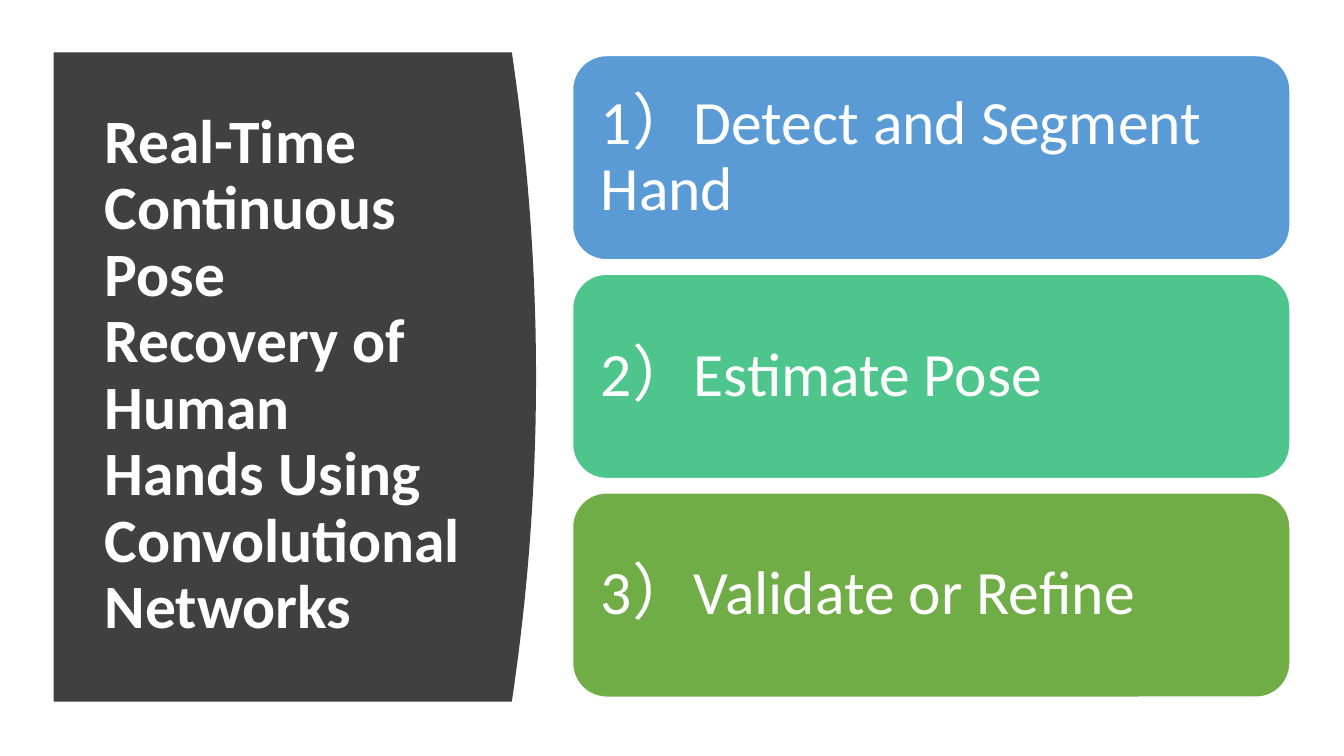
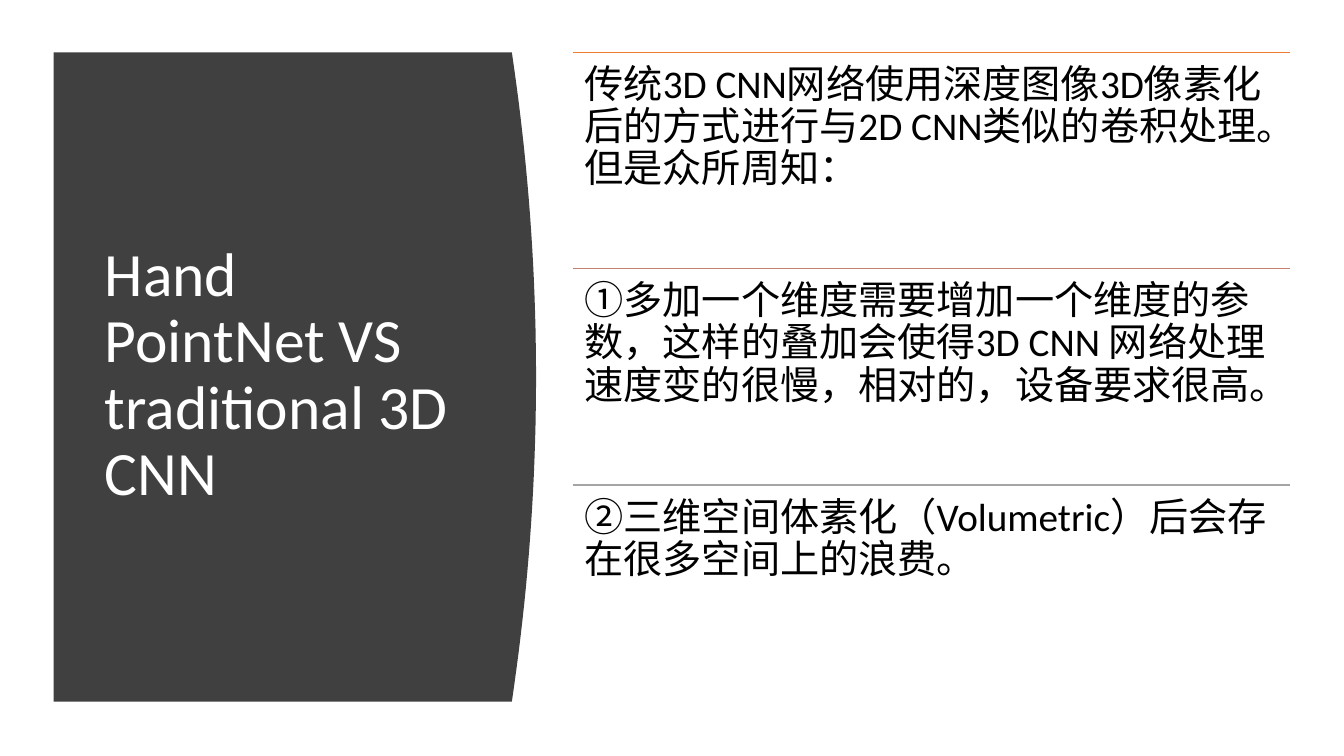
import dataclasses

import pptx
import pptx.dml.color
import pptx.enum.shapes
import pptx.enum.text
import pptx.oxml.ns
import pptx.util
from lxml import etree

Cm = pptx.util.Cm
Pt = pptx.util.Pt
RGBColor = pptx.dml.color.RGBColor
Anchor = pptx.enum.text.MSO_ANCHOR


@dataclasses.dataclass(frozen=True)
class Theme:
    font: str = "Calibri"
    large: int = 44
    body: int = 28
    white: str = "FFFFFF"
    black: str = "000000"
    panel: str = "404040"
    steps: tuple = ("5B9BD5", "4DC58D", "70AD47")
    rules: tuple = ("ED7D31", "C48170", "A5A5A5")


theme = Theme()


def set_attributes(target, values):
    for name, value in values.items():
        setattr(target, name, value)


def write_text(shape, text, size, color, anchor, inset, bold=False):
    frame = shape.text_frame
    set_attributes(frame, {
        "text": text,
        "word_wrap": True,
        "auto_size": pptx.enum.text.MSO_AUTO_SIZE.NONE,
        "vertical_anchor": anchor,
    })
    for side in ("left", "top", "right", "bottom"):
        setattr(frame, f"margin_{side}", Cm(inset))
    paragraph = frame.paragraphs[0]
    set_attributes(paragraph, {"alignment": pptx.enum.text.PP_ALIGN.LEFT, "line_spacing": 0.9})
    set_attributes(paragraph.font, {"name": theme.font, "size": Pt(size), "bold": bold})
    paragraph.font.color.rgb = RGBColor.from_string(color)


presentation = pptx.Presentation()
set_attributes(presentation, {"slide_width": Cm(33.87), "slide_height": Cm(19.05)})
title_only = presentation.slide_layouts[5]

# Shared geometry in centimetres
panel_left, panel_top, panel_height = 1.35, 1.32, 16.36
panel_edge, panel_bulge, curve_steps = 12.9, 0.61, 40
content_left, content_width = 14.43, 18.08

# Title panel with a curved right edge, on both slides
titles = (
    ("Real-Time Continuous Pose Recovery of Human Hands Using Convolutional Networks", True),
    ("Hand PointNet VS traditional 3D CNN", False),
)
slides = []
for title_text, bold in titles:
    slide = presentation.slides.add_slide(title_only)
    slides.append(slide)

    outline = [(panel_left, panel_top)]
    for step in range(curve_steps + 1):
        fraction = step / curve_steps
        bulge = panel_bulge * 4 * fraction * (1 - fraction)
        outline.append((panel_edge + bulge, panel_top + panel_height * fraction))
    outline.append((panel_left, panel_top + panel_height))
    points = [(Cm(x), Cm(y)) for x, y in outline]
    builder = slide.shapes.build_freeform(*points[0])
    builder.add_line_segments(points[1:], close=True)
    panel = builder.convert_to_shape()
    panel.shadow.inherit = False
    panel.fill.solid()
    panel.fill.fore_color.rgb = RGBColor.from_string(theme.panel)
    panel.line.fill.background()

    title = slide.shapes.title
    title.element.addprevious(panel.element)  # keep the title in front
    set_attributes(title, {
        "left": Cm(2.39), "top": Cm(2.82), "width": Cm(9.5), "height": Cm(13.31),
    })
    write_text(title, title_text, theme.large, theme.white, Anchor.MIDDLE, 0.25, bold)

steps_slide, comparison_slide = slides

# Slide 1: three step cards
card_top, card_height, card_pitch = 1.4, 5.15, 5.51
steps = ("1）Detect and Segment Hand", "2）Estimate Pose", "3）Validate or Refine")
for index, (text, color) in enumerate(zip(steps, theme.steps)):
    card = steps_slide.shapes.add_shape(
        pptx.enum.shapes.MSO_SHAPE.ROUNDED_RECTANGLE,
        Cm(content_left), Cm(card_top + index * card_pitch), Cm(content_width), Cm(card_height))
    card.shadow.inherit = False
    card.fill.solid()
    card.fill.fore_color.rgb = RGBColor.from_string(color)
    card.line.color.rgb = RGBColor.from_string(theme.white)
    card.line.width = Pt(1)
    write_text(card, text, theme.large, theme.white, Anchor.MIDDLE, 0.46)

# Slide 2: three passages, each under a coloured rule
passages = (
    "传统3D CNN网络使用深度图像3D像素化后的方式进行与2D CNN类似的卷积处理。但是众所周知：",
    "①多加一个维度需要增加一个维度的参数，这样的叠加会使得3D CNN 网络处理速度变的很慢，相对的，设备要求很高。",
    "②三维空间体素化（Volumetric）后会存在很多空间上的浪费。",
)
passage_height = panel_height / len(passages)
for index, (text, color) in enumerate(zip(passages, theme.rules)):
    top = Cm(panel_top + index * passage_height)
    rule = comparison_slide.shapes.add_connector(
        pptx.enum.shapes.MSO_CONNECTOR.STRAIGHT,
        Cm(content_left), top, Cm(content_left + content_width), top)
    rule.line.color.rgb = RGBColor.from_string(color)
    rule.line.width = Pt(1)
    etree.SubElement(rule.element.spPr, pptx.oxml.ns.qn("a:effectLst"))
    passage = comparison_slide.shapes.add_textbox(
        Cm(content_left), top, Cm(content_width), Cm(passage_height))
    write_text(passage, text, theme.body, theme.black, Anchor.TOP, 0.3)

presentation.save("out.pptx")
